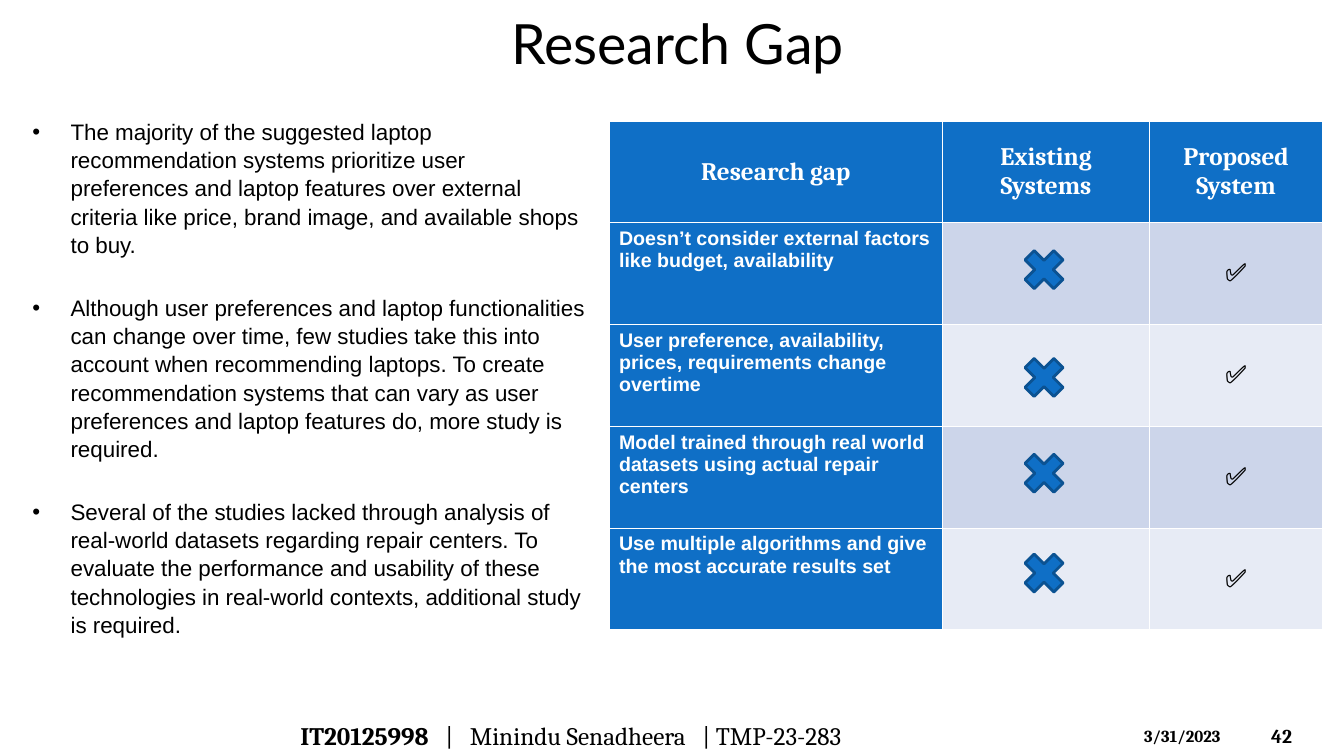
from dataclasses import dataclass

from lxml import etree
from pptx import Presentation
from pptx import util as u
from pptx.dml.color import RGBColor
from pptx.enum import shapes, text
from pptx.oxml.ns import qn


@dataclass(frozen=True)
class Theme:
    black: str = "000000"
    white: str = "FFFFFF"
    blue: str = "0F6FC6"
    edge: str = "0B5292"
    bands: tuple = ("CCD5EA", "E7EBF5")
    head: str = "Lato"
    body: str = "Arial"
    serif: str = "Cambria"
    title: float = 39.6
    large: float = 18
    list: float = 16
    small: float = 14
    date: float = 12


T = Theme()
MID = text.MSO_ANCHOR.MIDDLE
CENTER = text.PP_ALIGN.CENTER

POINTS = [
    "The majority of the suggested laptop recommendation systems prioritize user "
    "preferences and laptop features over external criteria like price, brand image, "
    "and available shops to buy.",
    "Although user preferences and laptop functionalities can change over time, few "
    "studies take this into account when recommending laptops. To create "
    "recommendation systems that can vary as user preferences and laptop features "
    "do, more study is required.",
    "Several of the studies lacked through analysis of real-world datasets regarding "
    "repair centers. To evaluate the performance and usability of these technologies "
    "in real-world contexts, additional study is required.",
]
HEADS = ["Research gap", "Existing Systems", "Proposed System"]
GAPS = [
    "Doesn’t consider external factors like budget, availability",
    "User preference, availability, prices, requirements change overtime",
    "Model trained through real world datasets using actual repair centers",
    "Use multiple algorithms and give the most accurate results set",
]
WIDTHS = [3.31, 2.05, 1.72]
ROW = 1.01
CROSS_TOPS = [2.4, 3.47, 4.42, 5.41]


def color(code):
    return RGBColor.from_string(code)


def style(font, name, size, code, bold=False):
    font.name, font.size, font.bold = name, u.Pt(size), bold
    font.color.rgb = color(code)


def place(shape, left, top, width, height):
    shape.left, shape.top = u.Inches(left), u.Inches(top)
    shape.width, shape.height = u.Inches(width), u.Inches(height)


def add_title(slide):
    title = slide.shapes.title
    place(title, 0.33, 0.02, 12.78, 0.8)
    frame = title.text_frame
    frame.text = "Research Gap"
    frame.auto_size = text.MSO_AUTO_SIZE.NONE
    frame.vertical_anchor = MID
    para = frame.paragraphs[0]
    para.alignment = CENTER
    style(para.font, T.head, T.title, T.black)


def add_list(slide):
    body = slide.placeholders[1]
    place(body, 0.22, 1.11, 5.7, 5.27)
    frame = body.text_frame
    frame.text = "\n".join(POINTS)
    frame.auto_size = text.MSO_AUTO_SIZE.NONE
    for i, para in enumerate(frame.paragraphs):
        props = para._p.get_or_add_pPr()
        props.set("marL", str(u.Inches(0.38)))
        props.set("indent", str(u.Inches(-0.38)))
        etree.SubElement(props, qn("a:buFont"), typeface=T.body)
        etree.SubElement(props, qn("a:buChar"), char="•")
        para.line_spacing = 1.05
        para.space_before = u.Pt(25 if i else 0)
        style(para.font, T.body, T.list, T.black)


def fill_cell(cell, code, words="", font=None, center=True):
    cell.fill.solid()
    cell.fill.fore_color.rgb = color(code)
    if not words:
        return
    cell.text = words
    para = cell.text_frame.paragraphs[0]
    style(para.font, *font)
    if center:
        cell.vertical_anchor = MID
        para.alignment = CENTER


def add_grid(slide):
    frame = slide.shapes.add_table(
        len(GAPS) + 1, len(HEADS), u.Inches(6.04), u.Inches(1.2),
        u.Inches(sum(WIDTHS)), u.Inches(ROW * (len(GAPS) + 1)))
    grid = frame.table
    for col, width in zip(grid.columns, WIDTHS):
        col.width = u.Inches(width)
    for row in grid.rows:
        row.height = u.Inches(ROW)
    for i, head in enumerate(HEADS):
        fill_cell(grid.cell(0, i), T.blue, head, (T.serif, T.large, T.white, True))
    for i, gap in enumerate(GAPS):
        band = T.bands[i % 2]
        fill_cell(grid.cell(i + 1, 0), T.blue, gap,
                  (T.body, T.small, T.white, True), center=False)
        fill_cell(grid.cell(i + 1, 1), band)
        fill_cell(grid.cell(i + 1, 2), band, "✅", (T.serif, T.large, T.black))


def add_cross(slide, top):
    cross = slide.shapes.add_shape(
        shapes.MSO_SHAPE.MATH_MULTIPLY, u.Inches(10.08), u.Inches(top),
        u.Inches(0.55), u.Inches(0.55))
    cross.shadow.inherit = False
    cross.fill.solid()
    cross.fill.fore_color.rgb = color(T.blue)
    cross.line.color.rgb = color(T.edge)
    cross.line.width = u.Pt(2)


def add_note(slide, box, size, *runs):
    """Add one line of footer text from (words, bold) runs."""
    frame = slide.shapes.add_textbox(*map(u.Inches, box)).text_frame
    frame.word_wrap = True
    frame.vertical_anchor = MID
    para = frame.paragraphs[0]
    style(para.font, T.serif, size, T.black)
    for words, bold in runs:
        run = para.add_run()
        run.text = words
        run.font.bold = bold


def main():
    deck = Presentation()
    deck.slide_width, deck.slide_height = u.Inches(13.33), u.Inches(7.5)
    slide = deck.slides.add_slide(deck.slide_layouts[1])
    add_title(slide)
    add_list(slide)
    add_grid(slide)
    for top in CROSS_TOPS:
        add_cross(slide, top)
    add_note(slide, (2.88, 7.1, 7.45, 0.4), T.large, ("IT20125998", True),
             ("   |   Minindu Senadheera   | TMP-23-283", False))
    add_note(slide, (11.25, 7.15, 1.17, 0.3), T.date, ("3/31/2023", True))
    add_note(slide, (12.51, 7.1, 0.74, 0.4), T.small, ("42", True))
    deck.save("out.pptx")


if __name__ == "__main__":
    main()
